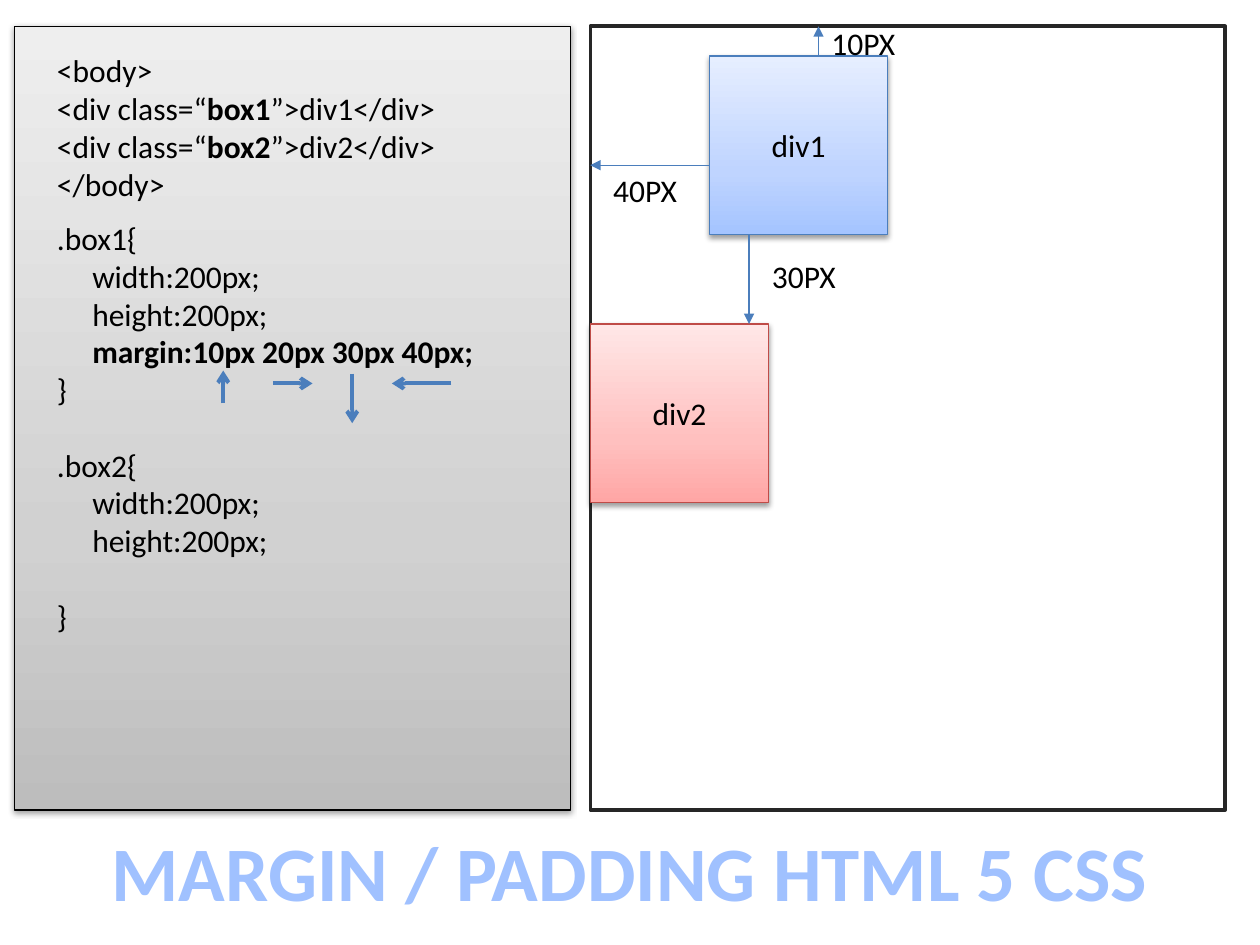
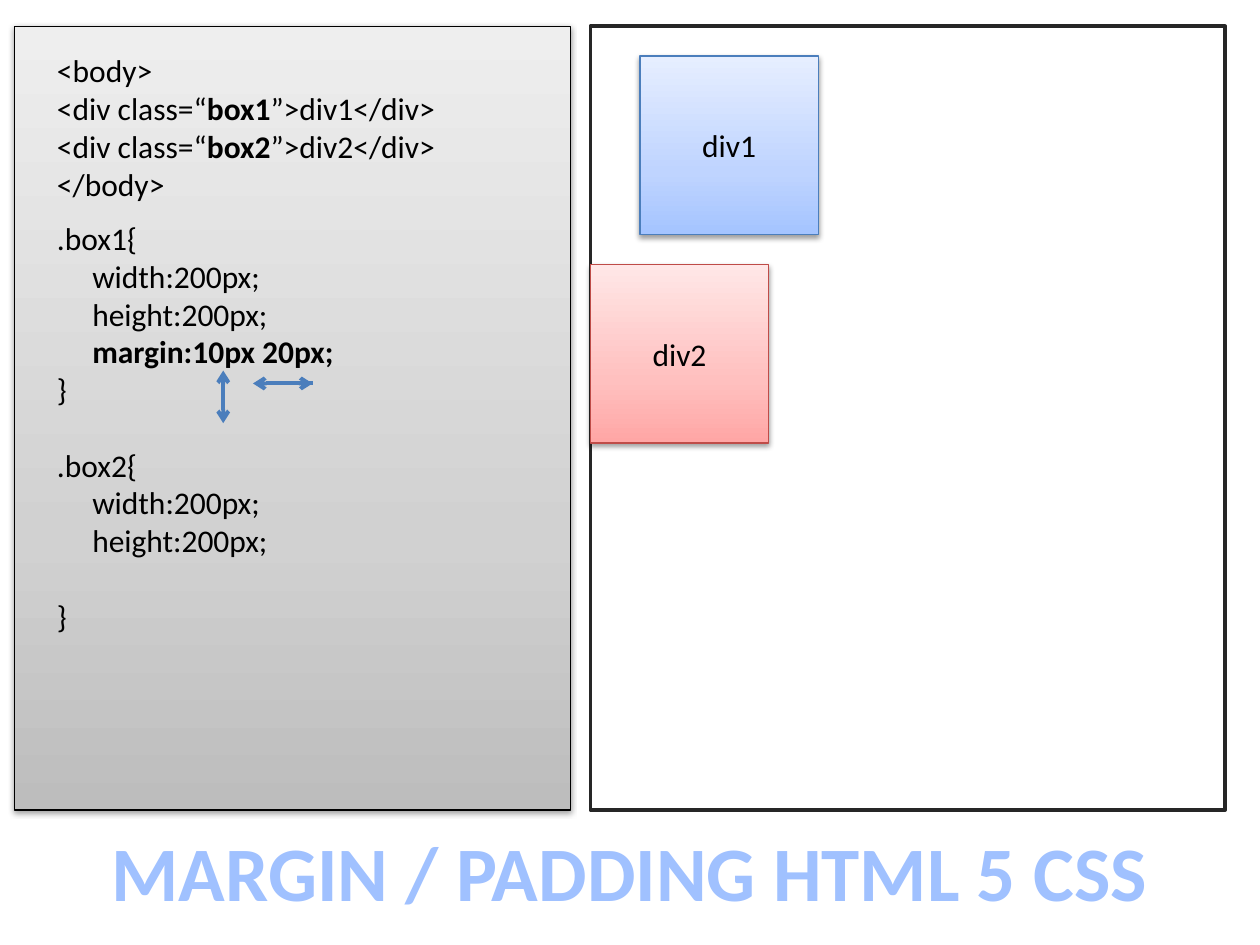
from lxml.etree import SubElement
from pptx import Presentation
from pptx.dml.color import RGBColor
from pptx.enum.shapes import MSO_CONNECTOR as Connector, MSO_SHAPE as Preset
from pptx.enum.text import MSO_ANCHOR as Anchor, PP_ALIGN as Align
from pptx.oxml.ns import qn
from pptx.util import Cm, Inches, Pt

# Shared look
FONT, INK, ARROW = "Calibri", "000000", "4B7EBC"
TITLE_COLOR, FRAME = "A0C1FF", "262626"
GREY = ("BDBDBD", "D1D1D1", "EEEEEE")
BLUE = ("A4C4FF", "BFD4FF", "E6EEFF")
RED = ("FFA6A5", "FFC0BF", "FFE7E7")
STOPS = (0, 35, 100)
CODE_SIZE, BLANK_LINE, INDENT = 18, Pt(21.5), Inches(0.28)

# Grid: 2 mm cells, rows counted from the top edge of both panels
TOP = 2.65
PANEL_LEFT, PANEL_COLS, PANEL_ROWS = 1.5, 56, 79
PAGE_LEFT, PAGE_COLS = 59.5, 64
DIV_SIDE = 18


def col(n):
    return Cm(0.2 * n)


def row(n):
    return Cm(0.2 * (n + TOP))


def color(value):
    return RGBColor.from_string(value)


def add_runs(paragraph, marked, size=CODE_SIZE, ink=INK, bold=False):
    """Write text whose *starred* parts are bold, run by run."""
    for i, part in enumerate(marked.split("*")):
        if part:
            run = paragraph.add_run()
            run.text = part
            run.font.name, run.font.size = FONT, Pt(size)
            run.font.bold = bold or i % 2 == 1
            run.font.color.rgb = color(ink)


def text_frame(slide, left, top, cols, rows, wrap=True):
    box = slide.shapes.add_textbox(col(left), row(top), col(cols), col(rows))
    box.text_frame.word_wrap = wrap
    return box.text_frame


def add_code(slide, top, cols, rows, lines):
    """Each line is (text, indented, follows a gap)."""
    frame = text_frame(slide, 4.5, top, cols, rows)
    for i, (text, indented, gap) in enumerate(lines):
        line = frame.add_paragraph() if i else frame.paragraphs[0]
        if indented:
            line._p.get_or_add_pPr().set("marL", str(INDENT))
        if gap:
            line.space_before = BLANK_LINE
        add_runs(line, text)


def add_label(slide, text, left, top):
    label = text_frame(slide, left, top, 14, 5.1).paragraphs[0]
    label.alignment = Align.RIGHT
    add_runs(label, text)


def add_rect(slide, left, top, cols, rows, edge, edge_width):
    rect = slide.shapes.add_shape(Preset.RECTANGLE, col(left), row(top),
                                  col(cols), col(rows))
    rect.shadow.inherit = False
    rect.line.color.rgb = color(edge)
    rect.line.width = Pt(edge_width)
    return rect


def add_shaded_rect(slide, left, top, cols, rows, shades, edge):
    rect = add_rect(slide, left, top, cols, rows, edge, 0.75)
    rect.fill.gradient()
    rect.fill.gradient_angle = 90
    properties = rect._element.spPr
    stops = properties.find(qn("a:gradFill")).find(qn("a:gsLst"))
    stops.clear()
    for position, shade in zip(STOPS, shades):
        stop = SubElement(stops, qn("a:gs"), pos=str(position * 1000))
        SubElement(stop, qn("a:srgbClr"), val=shade)
    # Soft shadow straight below
    shadow = SubElement(properties.find(qn("a:effectLst")), qn("a:outerShdw"),
                        blurRad=str(Pt(3.1)), dist=str(Pt(1.6)),
                        dir="5400000", rotWithShape="0")
    tint = SubElement(shadow, qn("a:srgbClr"), val=INK)
    SubElement(tint, qn("a:alpha"), val="38000")
    return rect


def add_div(slide, name, left, top, shades, edge):
    div = add_shaded_rect(slide, left, top, DIV_SIDE, DIV_SIDE, shades, edge)
    div.text_frame.vertical_anchor = Anchor.MIDDLE
    caption = div.text_frame.paragraphs[0]
    caption.alignment = Align.CENTER
    add_runs(caption, name)


def add_arrow(slide, start, end, width=2.25, head="arrow"):
    arrow = slide.shapes.add_connector(Connector.STRAIGHT, col(start[0]), row(start[1]),
                                       col(end[0]), row(end[1]))
    arrow.line.color.rgb = color(ARROW)
    arrow.line.width = Pt(width)
    SubElement(arrow.line._get_or_add_ln(), qn("a:tailEnd"), type=head)
    SubElement(arrow._element.spPr, qn("a:effectLst"))


def add_title(slide):
    title = text_frame(slide, 9.5, 79.8, 108, 10.7, wrap=False).paragraphs[0]
    title.alignment = Align.CENTER
    add_runs(title, "MARGIN / PADDING HTML 5 CSS", 44, TITLE_COLOR, True)


def add_code_panel(slide, margin, cols):
    add_shaded_rect(slide, PANEL_LEFT, 0, PANEL_COLS, PANEL_ROWS, GREY, INK)
    divs = [(f"<div class=“*box{n}*”>div{n}</div>", False, False) for n in (1, 2)]
    add_code(slide, 1.9, 50, 16.6,
             [("<body>", False, False), *divs, ("</body>", False, False)])
    size = [("width:200px;", True, False), ("height:200px;", True, False)]
    add_code(slide, 18.8, cols, 47.5, [
        (".box1{", False, False), *size,
        (f"*margin:{margin};*", True, False), ("}", False, False),
        (".box2{", False, True), *size, ("}", False, True)])


def add_page(slide, above, left, below):
    """Browser page with div1 set off by its margins, then div2."""
    page = add_rect(slide, PAGE_LEFT, 0, PAGE_COLS, PANEL_ROWS, FRAME, 2)
    page.fill.solid()
    page.fill.fore_color.rgb = color("FFFFFF")
    add_div(slide, "div1", PAGE_LEFT + left, above, BLUE, ARROW)
    add_div(slide, "div2", PAGE_LEFT, above + DIV_SIDE + below, RED, "BF4C48")


def add_margin_slide(deck, margin, code_cols, gaps, code_arrows):
    slide = deck.slides.add_slide(deck.slide_layouts[6])
    add_code_panel(slide, margin, code_cols)
    add_page(slide, *gaps)
    for start, end in code_arrows:
        add_arrow(slide, start, end)
    add_title(slide)
    return slide


def add_measures(slide, above, left, below):
    """Arrows and labels for the gaps around div1."""
    div_bottom = above + DIV_SIDE
    for start, end in (
            ((PAGE_LEFT + 23, above), (PAGE_LEFT + 23, 0)),
            ((PAGE_LEFT + 16, div_bottom), (PAGE_LEFT + 16, div_bottom + below)),
            ((PAGE_LEFT + left, 14), (PAGE_LEFT, 14))):
        add_arrow(slide, start, end, 0.75, "triangle")
    add_label(slide, "10PX", PAGE_LEFT + 18, -0.9)
    add_label(slide, "30PX", PAGE_LEFT + 12, 22.6)
    add_label(slide, "40PX", PAGE_LEFT - 4, 14)


def main():
    deck = Presentation()
    deck.slide_width, deck.slide_height = Inches(10), Inches(7.5)

    # Arrows under the margin values
    up = ((22.5, 38), (22.5, 34.7))
    right = ((27.5, 36), (31.5, 36))

    # Four margin values
    gaps = (3, 12, 9)
    four_values = add_margin_slide(
        deck, "10px 20px 30px 40px", 47, gaps,
        [up, right, ((45.5, 36), (39.5, 36)), ((35.5, 35), (35.5, 40))])
    add_measures(four_values, *gaps)

    # Two margin values
    add_margin_slide(
        deck, "10px 20px", 44, (3, 5, 3),
        [up, right, ((31.5, 36), (25.5, 36)), ((22.5, 35), (22.5, 40))])

    deck.save("out.pptx")


if __name__ == "__main__":
    main()
